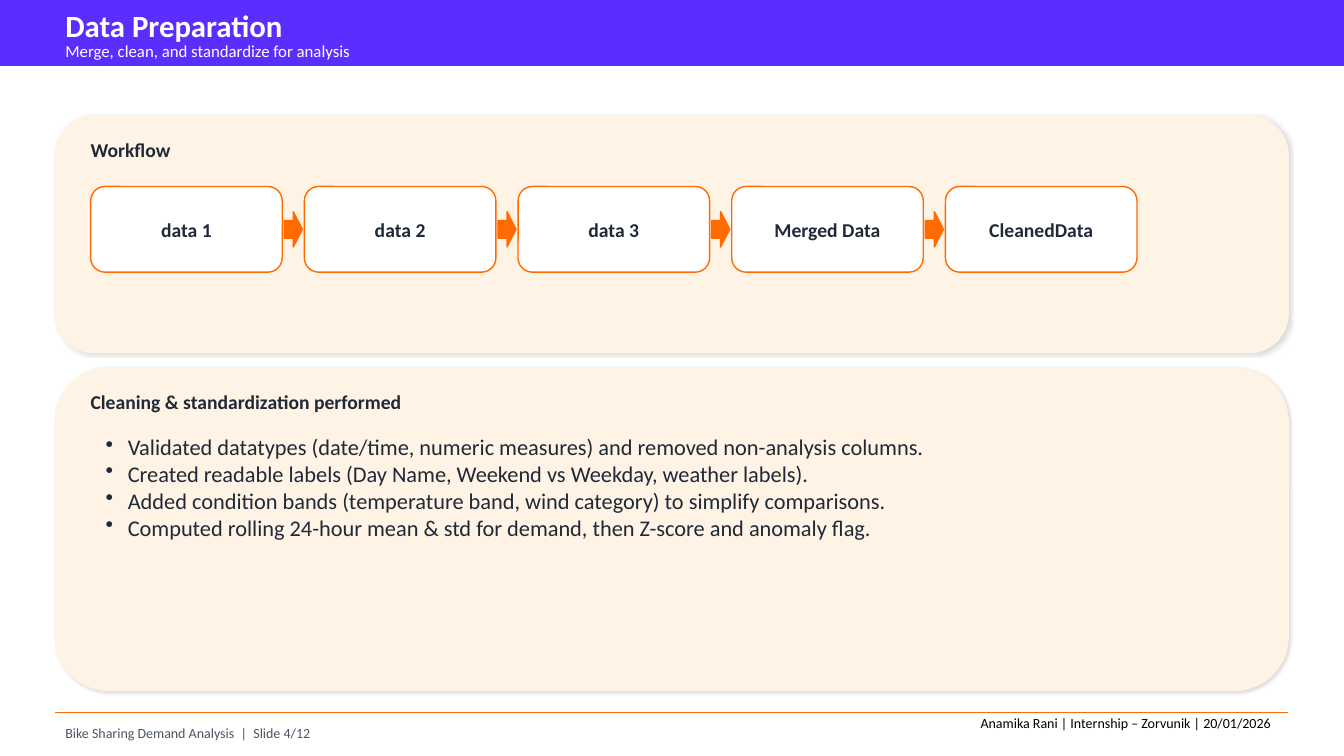
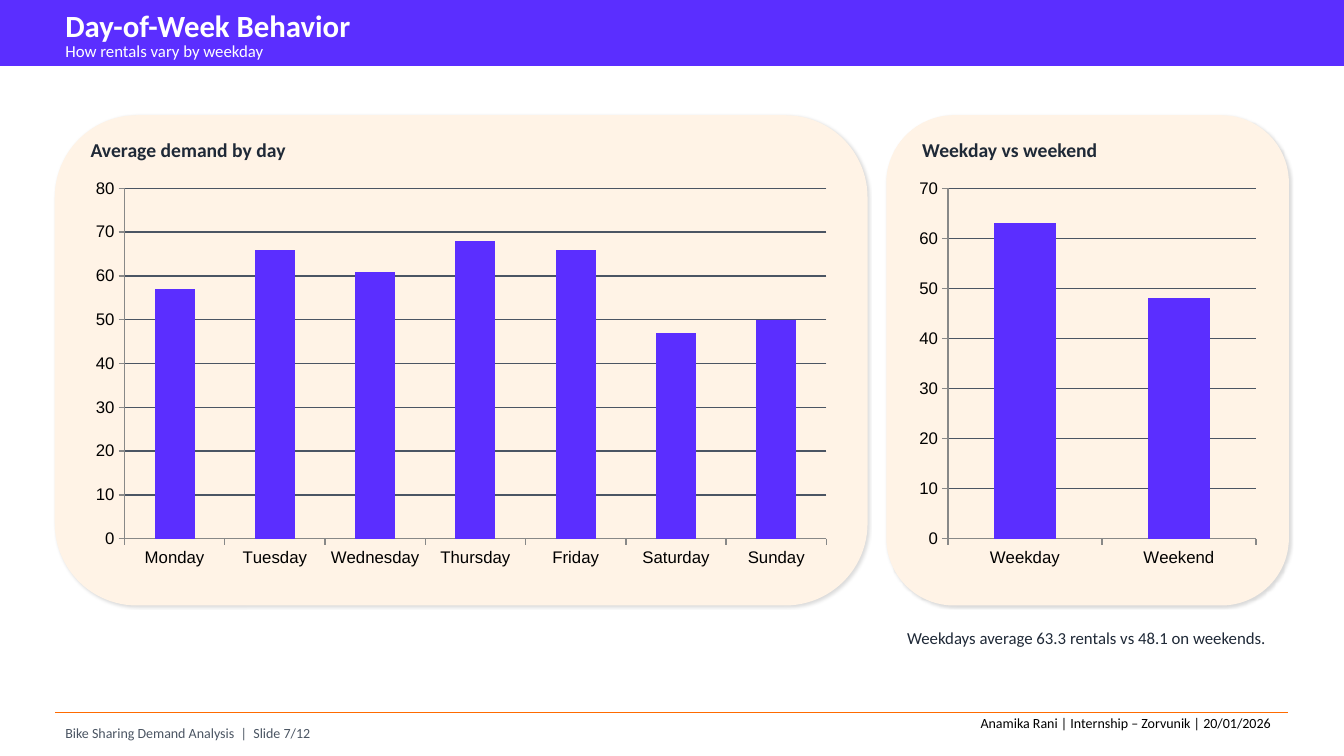
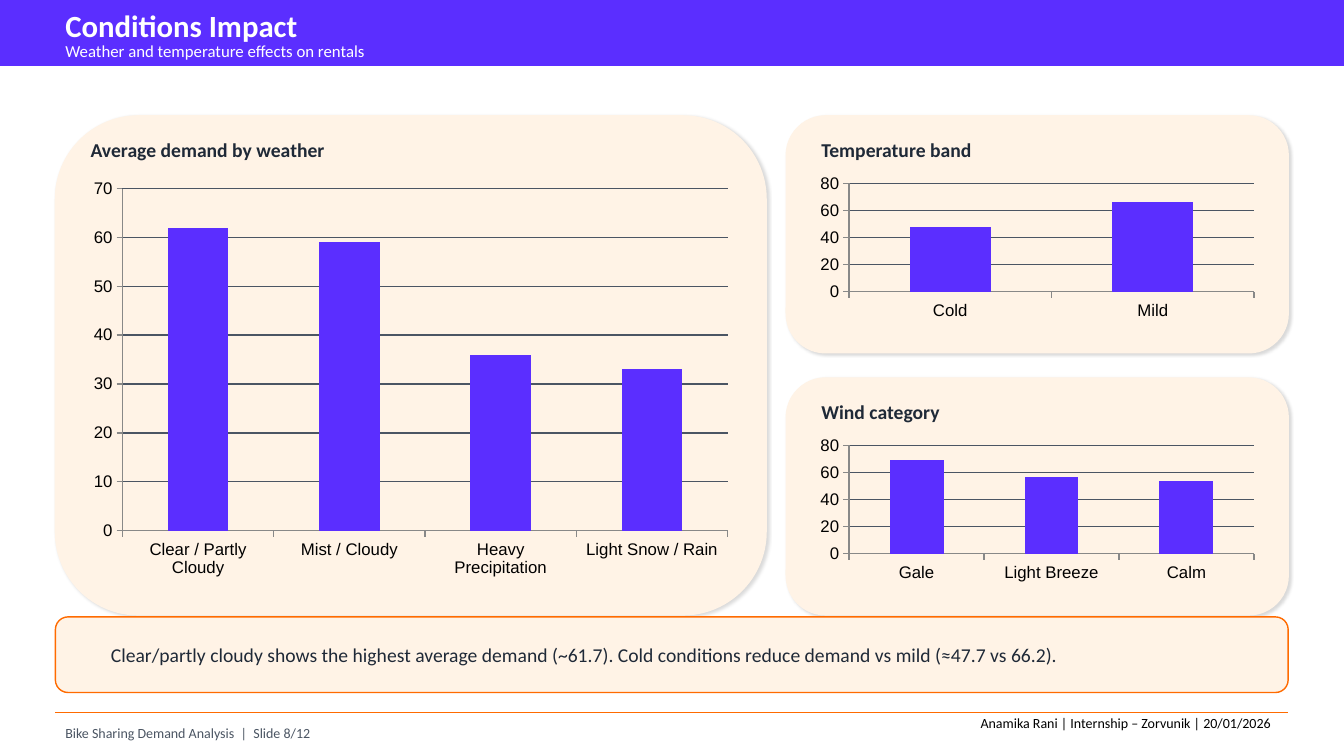
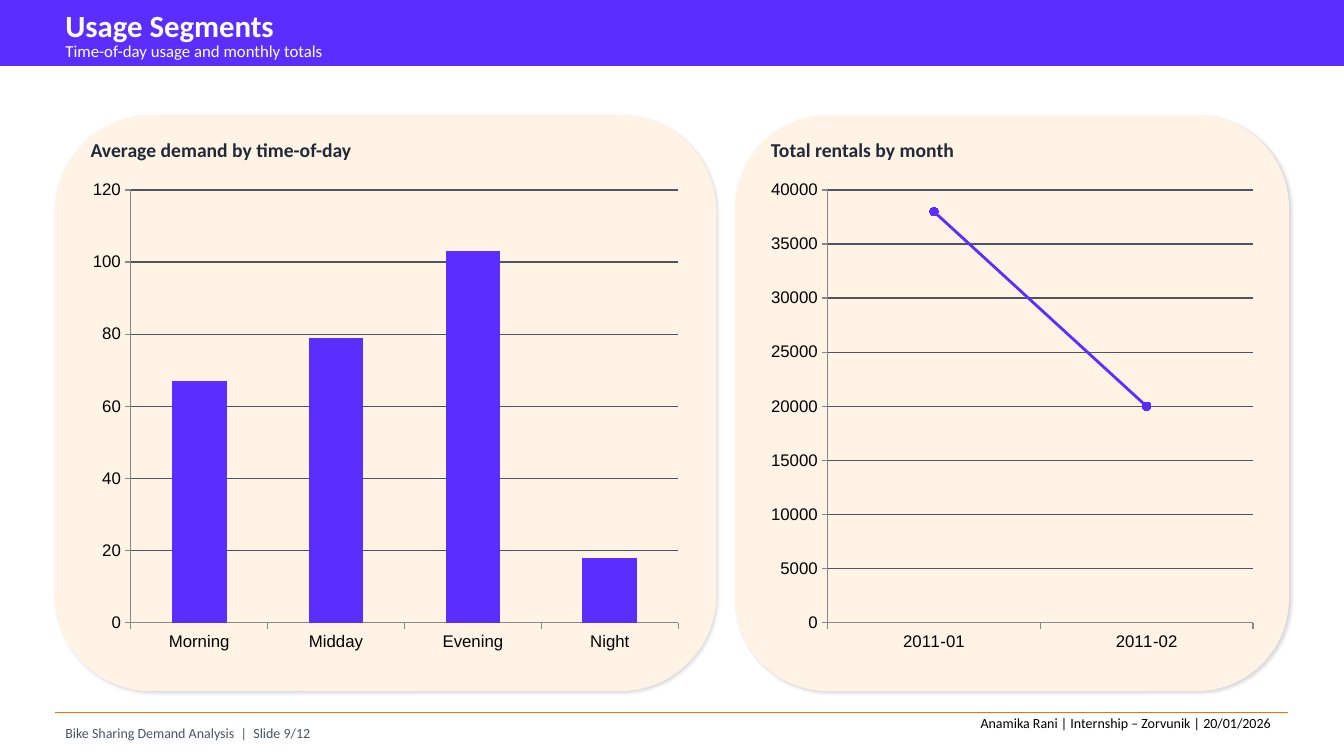
from lxml.etree import SubElement
from pptx import Presentation
from pptx.chart.data import CategoryChartData
from pptx.dml.color import RGBColor
from pptx.enum.chart import XL_CHART_TYPE, XL_MARKER_STYLE, XL_TICK_LABEL_POSITION, XL_TICK_MARK
from pptx.enum.shapes import MSO_CONNECTOR, MSO_SHAPE
from pptx.enum.text import MSO_ANCHOR, MSO_AUTO_SIZE, PP_ALIGN
from pptx.oxml import parse_xml
from pptx.oxml.ns import nsdecls, qn
from pptx.util import Pt

# Colours
VIOLET = RGBColor(0x5B, 0x2E, 0xFF)
ORANGE = RGBColor(0xFF, 0x6B, 0x00)
CREAM = RGBColor(0xFF, 0xF3, 0xE6)
WHITE = RGBColor(0xFF, 0xFF, 0xFF)
BLACK = RGBColor(0x00, 0x00, 0x00)
INK = RGBColor(0x1F, 0x29, 0x37)
SLATE = RGBColor(0x4B, 0x55, 0x63)
GREY = RGBColor(0x88, 0x88, 0x88)

# Text styles: colour and font values
STYLES = {
    "title": (WHITE, {"size": Pt(22), "bold": True}),
    "sub": (WHITE, {"size": Pt(12)}),
    "head": (INK, {"size": Pt(14), "bold": True}),
    "list": (INK, {"size": Pt(16)}),
    "call": (INK, {"size": Pt(14)}),
    "note": (INK, {"size": Pt(12)}),
    "foot": (SLATE, {"size": Pt(10)}),
    "credit": (BLACK, {"size": Pt(10)}),
}

# Shared measures, in points
LEFT, TOP, WIDE = 39.6, 82.8, 880.56
RIGHT = LEFT + WIDE
PAD = 18

SHADOW = (
    f'<a:effectLst {nsdecls("a")}><a:outerShdw blurRad="25400" dist="19050" '
    'dir="2700000"><a:srgbClr val="000000"><a:alpha val="15000"/></a:srgbClr>'
    '</a:outerShdw></a:effectLst>'
)

BAR, LINE = XL_CHART_TYPE.COLUMN_CLUSTERED, XL_CHART_TYPE.LINE_MARKERS

# Slides: number, title, subtitle, panels
# Panel: left, top, width, height, heading, chart (kind, categories, values)
SLIDES = [
    (4, "Data Preparation", "Merge, clean, and standardize for analysis", [
        (LEFT, TOP, WIDE, 169.2, "Workflow", None),
        (LEFT, 262.8, WIDE, 230.4, "Cleaning & standardization performed", None),
    ]),
    (7, "Day-of-Week Behavior", "How rentals vary by weekday", [
        (LEFT, TOP, 579.6, 349.2, "Average demand by day",
         (BAR, ["Monday", "Tuesday", "Wednesday", "Thursday", "Friday", "Saturday", "Sunday"],
          [57, 66, 61, 68, 66, 47, 50])),
        (633.6, TOP, RIGHT - 633.6, 349.2, "Weekday vs weekend",
         (BAR, ["Weekday", "Weekend"], [63, 48])),
    ]),
    (8, "Conditions Impact", "Weather and temperature effects on rentals", [
        (LEFT, TOP, 507.6, 356.4, "Average demand by weather",
         (BAR, ["Clear / Partly Cloudy", "Mist / Cloudy", "Heavy Precipitation",
                "Light Snow / Rain"], [62, 59, 36, 33])),
        (561.6, TOP, RIGHT - 561.6, 169.2, "Temperature band",
         (BAR, ["Cold", "Mild"], [48, 66])),
        (561.6, 270, RIGHT - 561.6, 169.2, "Wind category",
         (BAR, ["Gale", "Light Breeze", "Calm"], [69, 57, 54])),
    ]),
    (9, "Usage Segments", "Time-of-day usage and monthly totals", [
        (LEFT, TOP, 471.6, 410.4, "Average demand by time-of-day",
         (BAR, ["Morning", "Midday", "Evening", "Night"], [67, 79, 103, 18])),
        (525.6, TOP, RIGHT - 525.6, 410.4, "Total rentals by month",
         (LINE, ["2011-01", "2011-02"], [38000, 20000])),
    ]),
]


def draw(page, kind, box, fill, edge):
    """Add a flat preset shape; box is left, top, width, height in points."""
    shape = page.shapes.add_shape(kind, *map(Pt, box))
    shape.shadow.inherit = False
    shape.fill.solid()
    shape.fill.fore_color.rgb = fill
    shape.line.color.rgb = edge
    shape.line.width = Pt(1)
    return shape


def write(shape, lines, style, anchor=MSO_ANCHOR.MIDDLE, align=PP_ALIGN.LEFT):
    """Fill a shape or text box with one paragraph per line."""
    frame = shape.text_frame
    frame.word_wrap = True
    frame.vertical_anchor = anchor
    frame.text = "\n".join(lines)
    color, values = STYLES[style]
    for para in frame.paragraphs:
        para.alignment = align
        font = para.runs[0].font
        font.name = "Calibri"
        font.color.rgb = color
        for name, value in values.items():
            setattr(font, name, value)
    return frame


deck = Presentation()
deck.slide_width, deck.slide_height = Pt(960), Pt(540)
pages = {}

for number, title, sub, panels in SLIDES:
    page = pages[number] = deck.slides.add_slide(deck.slide_layouts[6])

    # Title band
    draw(page, MSO_SHAPE.RECTANGLE, (0, 0, 960, 46.8), VIOLET, VIOLET)
    texts = [
        ((LEFT, 7.2, 711.36, 21.6), title, "title"),
        ((LEFT, 29.5, 711.36, 13), sub, "sub"),
        ((LEFT, 514.8, WIDE, 18), f"Bike Sharing Demand Analysis  |  Slide {number}/12", "foot"),
    ]

    # Panels and their charts
    for left, top, width, height, head, plan in panels:
        panel = draw(page, MSO_SHAPE.ROUNDED_RECTANGLE, (left, top, width, height), CREAM, CREAM)
        props = panel._element.spPr
        props.replace(props.find(qn("a:effectLst")), parse_xml(SHADOW))
        inner = width - 2 * PAD
        texts.append(((left + PAD, top + 13, inner, 21.6), head, "head"))
        if plan is None:
            continue

        kind, names, values = plan
        data = CategoryChartData()
        data.categories = names
        data.add_series("Series 1", values)
        box = (left + PAD, top + 39.6, inner, height - 61.2)
        chart = page.shapes.add_chart(kind, *map(Pt, box), data).chart
        chart.has_legend = chart.has_title = False
        chart.font.name, chart.font.size = "Calibri", Pt(10)
        chart.font.color.rgb = BLACK

        for axis in (chart.category_axis, chart.value_axis):
            axis.major_tick_mark = XL_TICK_MARK.OUTSIDE
            axis.format.line.color.rgb = GREY
            axis.format.line.width = Pt(1)
            font = axis.tick_labels.font
            font.name, font.size = "Arial", Pt(12)
            font.color.rgb = BLACK
        chart.category_axis.tick_label_position = XL_TICK_LABEL_POSITION.LOW
        chart.value_axis.has_major_gridlines = True
        grid = chart.value_axis.major_gridlines.format.line
        grid.color.rgb, grid.width = SLATE, Pt(1)
        chart.value_axis.tick_labels.number_format = "General"
        chart.value_axis.tick_labels.number_format_is_linked = False

        plot = chart.plots[0]
        plot.vary_by_categories = False
        series = plot.series[0]
        if kind == BAR:
            plot.gap_width = 150
            series.format.fill.solid()
            series.format.fill.fore_color.rgb = VIOLET
        else:
            series.smooth = False
            series.format.line.color.rgb = VIOLET
            series.format.line.width = Pt(2)
            mark = series.marker
            mark.style, mark.size = XL_MARKER_STYLE.CIRCLE, 6
            mark.format.fill.solid()
            mark.format.fill.fore_color.rgb = VIOLET
            mark.format.line.color.rgb = VIOLET

    for box, text, style in texts:
        write(page.shapes.add_textbox(*map(Pt, box)), [text], style)

    # Footer rule and credit
    rule = page.shapes.add_connector(
        MSO_CONNECTOR.STRAIGHT, Pt(LEFT), Pt(509), Pt(RIGHT), Pt(509))
    rule.line.color.rgb, rule.line.width = ORANGE, Pt(1)
    SubElement(rule._element.spPr, qn("a:effectLst"))
    credit = page.shapes.add_textbox(Pt(693.36), Pt(506.88), Pt(226.8), Pt(19.44))
    frame = write(credit, ["Anamika Rani | Internship – Zorvunik | 20/01/2026"], "credit",
                  MSO_ANCHOR.TOP)
    frame.word_wrap = False
    frame.auto_size = MSO_AUTO_SIZE.SHAPE_TO_FIT_TEXT

# Data preparation: workflow steps
page = pages[4]
steps = ["data 1", "data 2", "data 3", "Merged Data", "CleanedData"]
for i, step in enumerate(steps):
    left = 64.8 + i * 152.64
    card = draw(page, MSO_SHAPE.ROUNDED_RECTANGLE, (left, 133.2, 136.8, 61.2), WHITE, ORANGE)
    write(card, [step], "head", align=PP_ALIGN.CENTER)
    if i < len(steps) - 1:
        draw(page, MSO_SHAPE.RIGHT_ARROW, (left + 138.24, 151.2, 12.96, 25.2), ORANGE, ORANGE)

# Data preparation: cleaning list
items = [
    "Validated datatypes (date/time, numeric measures) and removed non-analysis columns.",
    "Created readable labels (Day Name, Weekend vs Weekday, weather labels).",
    "Added condition bands (temperature band, wind category) to simplify comparisons.",
    "Computed rolling 24-hour mean & std for demand, then Z-score and anomaly flag.",
]
area = page.shapes.add_textbox(Pt(68.4), Pt(306), Pt(822.96), Pt(106.56))
for para in write(area, items, "list", MSO_ANCHOR.TOP).paragraphs:
    props = para._p.get_or_add_pPr()
    props.set("marL", str(Pt(15.84)))
    props.set("indent", str(-Pt(15.84)))
    SubElement(props, qn("a:buChar")).set("char", "•")

# Day of week: note
note = pages[7].shapes.add_textbox(Pt(640.8), Pt(435.6), Pt(272.16), Pt(39.6))
write(note, ["Weekdays average 63.3 rentals vs 48.1 on weekends."], "note")

# Conditions: callout
call = draw(pages[8], MSO_SHAPE.ROUNDED_RECTANGLE, (LEFT, 440.64, WIDE, 54), CREAM, ORANGE)
frame = write(call, ["Clear/partly cloudy shows the highest average demand (~61.7). "
                     "Cold conditions reduce demand vs mild (≈47.7 vs 66.2)."], "call")
frame.margin_left = Pt(37)

deck.save("out.pptx")
